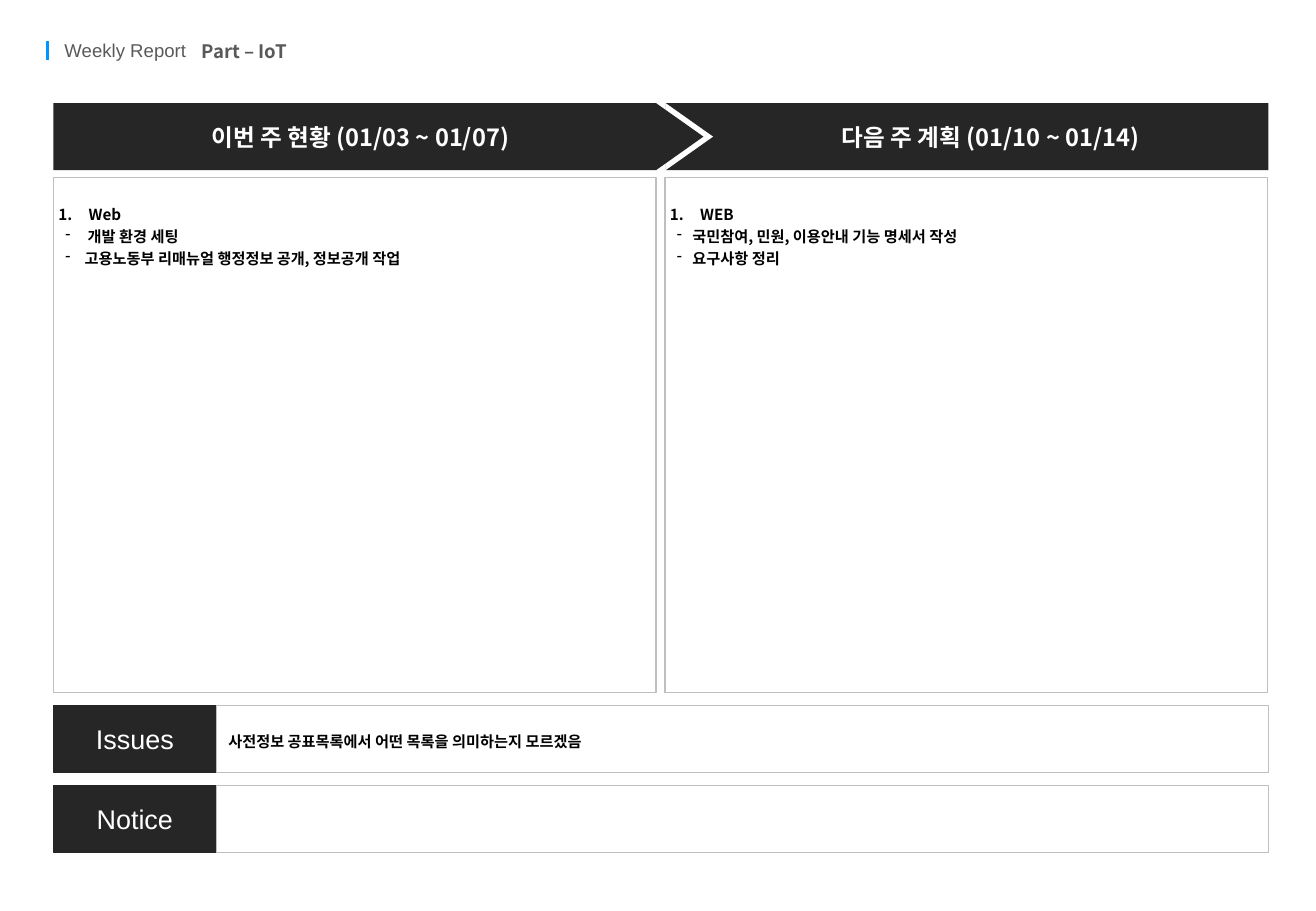
from lxml import etree
from pptx import Presentation
from pptx.dml.color import RGBColor
from pptx.enum import shapes, text
from pptx.oxml import ns
from pptx.util import Pt

DARK = RGBColor(0x26, 0x26, 0x26)
WHITE = RGBColor(0xFF, 0xFF, 0xFF)
BLACK = RGBColor(0, 0, 0)
BORDER = RGBColor(0xBF, 0xBF, 0xBF)
GREY = RGBColor(0x59, 0x59, 0x59)
BLUE = RGBColor(0x00, 0x96, 0xFF)
LATIN, KOREAN = "Arial", "Noto Sans CJK KR"
RECT, TRIANGLE = shapes.MSO_SHAPE.RECTANGLE, shapes.MSO_SHAPE.ISOSCELES_TRIANGLE
CENTER, LEFT = text.PP_ALIGN.CENTER, text.PP_ALIGN.LEFT

prs = Presentation()
prs.slide_width, prs.slide_height = Pt(779.76), Pt(540)
slide = prs.slides.add_slide(prs.slide_layouts[6])


def add_block(kind, x, y, w, h, fill, line=None):
    block = slide.shapes.add_shape(kind, Pt(x), Pt(y), Pt(w), Pt(h))
    block.shadow.inherit = False
    block.fill.solid()
    block.fill.fore_color.rgb = fill
    if line is None:
        block.line.fill.background()
    else:
        block.line.color.rgb = line
        block.line.width = Pt(0.75)
    return block


def write(paragraph, words, size, font, color, align=LEFT):
    run = paragraph.add_run()
    run.text = words
    paragraph.alignment = align
    paragraph.font.size = Pt(size)
    paragraph.font.name = font
    paragraph.font.bold = font == KOREAN
    paragraph.font.color.rgb = color
    # Hangul takes its typeface from the East Asian font slot
    if font == KOREAN:
        etree.SubElement(run.font._element, ns.qn("a:ea"), typeface=font)


# Title mark
mark = slide.shapes.add_connector(shapes.MSO_CONNECTOR.STRAIGHT, Pt(28.2), Pt(24.4), Pt(28.2), Pt(35.4))
mark.line.color.rgb = BLUE
mark.line.width = Pt(2)
etree.SubElement(mark._element.spPr, ns.qn("a:effectLst"))

# Issues and Notice rows
LEFT_X, LABEL_W, VALUE_W, ROW_H = 31.7, 96.5, 623.5, 39.6
rows = [("Issues", "사전정보 공표목록에서 어떤 목록을 의미하는지 모르겠음"), ("Notice", "")]
for i, (name, remark) in enumerate(rows):
    y = 418.3 + i * 47.5
    label = add_block(RECT, LEFT_X, y, LABEL_W, ROW_H, DARK, DARK)
    write(label.text_frame.paragraphs[0], name, 16, LATIN, WHITE, CENTER)
    value = add_block(RECT, LEFT_X + LABEL_W, y, VALUE_W, ROW_H, WHITE, BORDER)
    if remark:
        line = value.text_frame.paragraphs[0]
        line.line_spacing = 1.2
        write(line, remark, 9, KOREAN, BLACK)

# Week panels: each item is text, text indent and bullet position
COLUMN_W = 357.1
panels = [
    (LEFT_X, [("Web", 18, 0), ("개발 환경 세팅", 17.4, 4.2),
              ("고용노동부 리매뉴얼 행정정보 공개, 정보공개 작업", 15.6, 4.2)]),
    (394, [("WEB", 18, 0), ("국민참여, 민원, 이용안내 기능 명세서 작성", 13.4, 4.2),
           ("요구사항 정리", 13.4, 4.2)]),
]
for x, items in panels:
    frame = add_block(RECT, x, 105.1, COLUMN_W, 305.3, WHITE, BORDER).text_frame
    frame.vertical_anchor = text.MSO_ANCHOR.TOP
    frame.margin_left = frame.margin_right = frame.margin_bottom = Pt(2.9)
    frame.margin_top = Pt(14.5)
    for i, (words, indent, bullet_x) in enumerate(items):
        item = frame.paragraphs[0] if i == 0 else frame.add_paragraph()
        item.line_spacing = 1.2
        write(item, words, 9, KOREAN, BLACK)
        props = item._p.get_or_add_pPr()
        props.set("marL", str(Pt(indent)))
        props.set("indent", str(Pt(bullet_x - indent)))
        if i == 0:
            bullet = etree.Element(ns.qn("a:buAutoNum"), type="arabicPeriod")
        else:
            bullet = etree.Element(ns.qn("a:buChar"), char="-")
        props.find(ns.qn("a:defRPr")).addprevious(bullet)

# Header bands with the arrow between them
HEADER_Y, HEADER_H, TIP = 61.2, 39.6, 28
GAP = 5.7
add_block(RECT, LEFT_X + COLUMN_W + GAP, HEADER_Y, COLUMN_W, HEADER_H, DARK)
for shift, color in [(GAP, WHITE), (0, DARK)]:
    band_x = LEFT_X + shift
    tip = add_block(TRIANGLE, band_x + COLUMN_W + (TIP - HEADER_H) / 2,
                    HEADER_Y + (HEADER_H - TIP) / 2, HEADER_H, TIP, color)
    tip.rotation = 90
    add_block(RECT, band_x, HEADER_Y, COLUMN_W, HEADER_H, color)

# Title and header captions
captions = [
    (35.3, 20.2, 82.8, 18.7, "Weekly Report", 11, LATIN, GREY, LEFT),
    (116.6, 20.9, 57.6, 18.7, "Part – IoT", 11, KOREAN, GREY, LEFT),
    (113.8, 69.8, 199.4, 23, "이번 주 현황 (01/03 ~ 01/07)", 14, KOREAN, WHITE, CENTER),
    (487.4, 69.8, 199.4, 23, "다음 주 계획 (01/10 ~ 01/14)", 14, KOREAN, WHITE, CENTER),
]
for x, y, w, h, words, size, font, color, align in captions:
    frame = slide.shapes.add_textbox(Pt(x), Pt(y), Pt(w), Pt(h)).text_frame
    frame.margin_left = frame.margin_right = frame.margin_top = frame.margin_bottom = Pt(2.9)
    frame.word_wrap = False
    write(frame.paragraphs[0], words, size, font, color, align)

prs.save("out.pptx")
